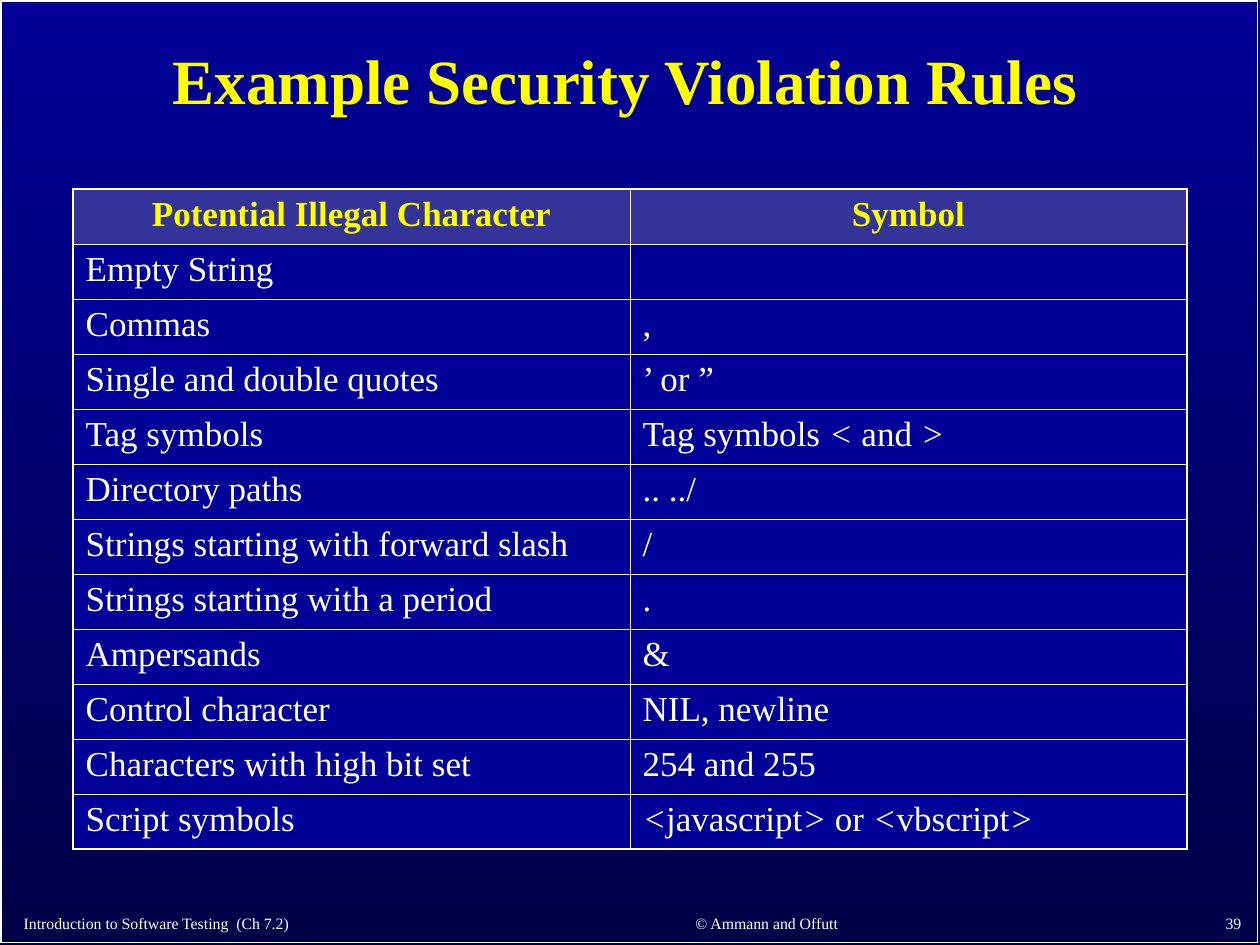
from itertools import groupby

from lxml import etree
from pptx import Presentation
from pptx import util as u
from pptx.dml.color import RGBColor
from pptx.enum import shapes, text
from pptx.oxml.ns import qn

FONT = "Times New Roman"
WHITE, YELLOW, NAVY, INDIGO = "FFFFFF", "FFFF00", "000099", "333399"
THICK, THIN = 1.08, 0.45
LEFT, CENTER, RIGHT = text.PP_ALIGN.LEFT, text.PP_ALIGN.CENTER, text.PP_ALIGN.RIGHT

RULES = [
    ("Potential Illegal Character", "Symbol"),
    ("Empty String", ""),
    ("Commas", ","),
    ("Single and double quotes", "’ or ”"),
    ("Tag symbols", "Tag symbols < and >"),
    ("Directory paths", ".. ../"),
    ("Strings starting with forward slash", "/"),
    ("Strings starting with a period", "."),
    ("Ampersands", "&"),
    ("Control character", "NIL, newline"),
    ("Characters with high bit set", "254 and 255"),
    ("Script symbols", "<javascript> or <vbscript>"),
]


def rgb(value):
    return RGBColor.from_string(value)


def write(frame, words, size=20, color=WHITE, bold=False, align=LEFT, spacing=None):
    """Fill the frame's first paragraph, setting angle brackets in italics."""
    paragraph = frame.paragraphs[0]
    paragraph.alignment = align
    paragraph.line_spacing = spacing
    for is_bracket, letters in groupby(words, lambda letter: letter in "<>"):
        run = paragraph.add_run()
        run.text = "".join(letters)
        font = run.font
        font.name, font.size = FONT, u.Pt(size)
        font.bold, font.italic = bold, is_bracket
        font.color.rgb = rgb(color)


def paint_background(slide):
    fill = slide.background.fill
    fill.gradient()
    fill.gradient_angle = 270
    for stop, color in zip(fill.gradient_stops, (NAVY, "000047")):
        stop.color.rgb = rgb(color)
    for stop, position in zip(fill.gradient_stops, (0, 1)):
        stop.position = position


def add_frame(slide):
    border = slide.shapes.add_shape(
        shapes.MSO_SHAPE.RECTANGLE,
        u.Inches(0.01), u.Inches(0.01), u.Inches(9.97), u.Inches(7.47))
    border.shadow.inherit = False
    border.fill.background()
    border.line.color.rgb = rgb(WHITE)
    border.line.width = u.Pt(1)


def set_title(slide, words):
    title = slide.shapes.title
    title.left, title.top = u.Inches(1.17), u.Inches(0)
    title.width, title.height = u.Inches(7.58), u.Inches(1.33)
    frame = title.text_frame
    frame.auto_size = text.MSO_AUTO_SIZE.NONE
    frame.vertical_anchor = text.MSO_ANCHOR.MIDDLE
    write(frame, words, size=36, color=YELLOW, bold=True, align=CENTER, spacing=0.9)


def add_footer(slide, words, left, width, align):
    height = 0.31
    box = slide.shapes.add_textbox(
        u.Inches(left), u.Inches(7.45 - height), u.Inches(width), u.Inches(height))
    box.text_frame.word_wrap = False
    box.text_frame.vertical_anchor = text.MSO_ANCHOR.BOTTOM
    write(box.text_frame, words, size=9, align=align)


def set_borders(cell, **widths):
    """Draw white cell borders; widths are in points, keyed L, R, T and B."""
    properties = cell._tc.get_or_add_tcPr()
    for side, width in widths.items():
        line = etree.SubElement(properties, qn(f"a:ln{side}"), w=str(u.Pt(width)))
        solid = etree.SubElement(line, qn("a:solidFill"))
        etree.SubElement(solid, qn("a:srgbClr"), val=WHITE)


def add_rules_table(slide):
    last_row, last_column = len(RULES) - 1, len(RULES[0]) - 1
    graphic = slide.shapes.add_table(
        len(RULES), len(RULES[0]),
        u.Inches(0.58), u.Inches(1.5), u.Inches(8.84), u.Inches(5.24))
    table = graphic.table
    for r, rule in enumerate(RULES):
        is_header = r == 0
        for c, words in enumerate(rule):
            cell = table.cell(r, c)
            set_borders(cell,
                        L=THICK if c == 0 else THIN,
                        R=THICK if c == last_column else THIN,
                        T=THICK if is_header else THIN,
                        B=THICK if r == last_row else THIN)
            cell.fill.solid()
            cell.fill.fore_color.rgb = rgb(INDIGO if is_header else NAVY)
            write(cell.text_frame, words, bold=is_header,
                  color=YELLOW if is_header else WHITE,
                  align=CENTER if is_header else LEFT)


def main():
    deck = Presentation()
    deck.slide_width, deck.slide_height = u.Inches(10), u.Inches(7.5)
    slide = deck.slides.add_slide(deck.slide_layouts.get_by_name("Title Only"))
    paint_background(slide)
    add_frame(slide)
    set_title(slide, "Example Security Violation Rules")
    add_rules_table(slide)
    add_footer(slide, "Introduction to Software Testing  (Ch 7.2)", 0.09, 4.24, LEFT)
    add_footer(slide, "© Ammann and Offutt", 4.5, 3.17, CENTER)
    add_footer(slide, "39", 7.87, 2.08, RIGHT)
    deck.save("out.pptx")


if __name__ == "__main__":
    main()
